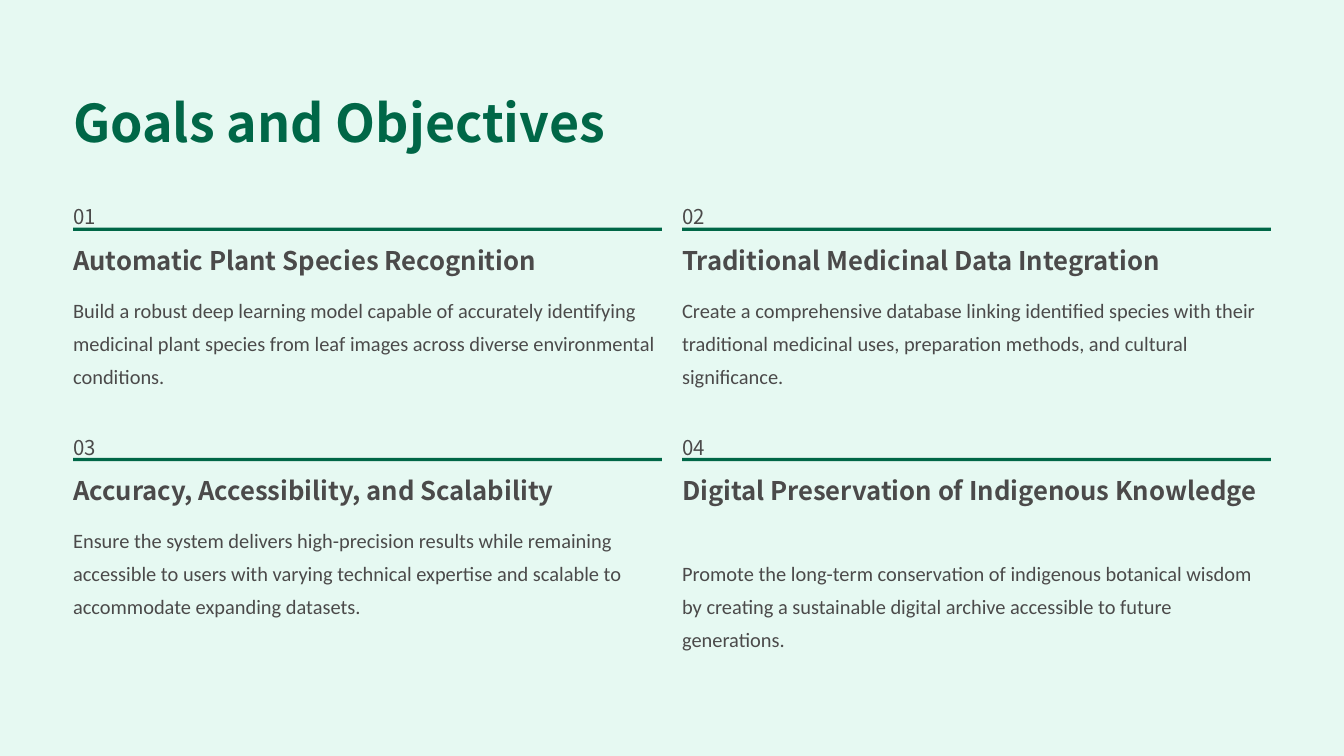
from lxml.etree import SubElement
from pptx import Presentation
from pptx.dml.color import RGBColor
from pptx.enum.shapes import MSO_SHAPE
from pptx.oxml.ns import qn
from pptx.util import Emu, Pt

PX = 9144
HEADING_FONT = "Noto Sans CJK SC"
BODY_FONT = "Calibri"
GREEN = "006747"
GRAY = "4B4A4A"
MINT = "E5F9F2"

SLIDE_WIDTH = 1600
SLIDE_HEIGHT = 900
COLUMN_WIDTH = 701
COLUMN_STEP = 725
ROW_STEP = 274
HEADING_LINE = 39

GOALS = [
    ("Automatic Plant Species Recognition", 580, 1,
     "Build a robust deep learning model capable of accurately identifying medicinal "
     "plant species from leaf images across diverse environmental conditions."),
    ("Traditional Medicinal Data Integration", 609, 1,
     "Create a comprehensive database linking identified species with their traditional "
     "medicinal uses, preparation methods, and cultural significance."),
    ("Accuracy, Accessibility, and Scalability", 610, 1,
     "Ensure the system delivers high-precision results while remaining accessible to users "
     "with varying technical expertise and scalable to accommodate expanding datasets."),
    ("Digital Preservation of Indigenous Knowledge", COLUMN_WIDTH, 2,
     "Promote the long-term conservation of indigenous botanical wisdom by creating a "
     "sustainable digital archive accessible to future generations."),
]


def color(value):
    return RGBColor.from_string(value)


def px(*lengths):
    return [Emu(length * PX) for length in lengths]


def add_text(slide, box, text, size, line, font=HEADING_FONT, ink=GRAY, bold=False, wrap=False):
    frame = slide.shapes.add_textbox(*px(*box)).text_frame
    frame.margin_left = frame.margin_top = frame.margin_right = frame.margin_bottom = 0
    frame.word_wrap = wrap
    frame.text = text
    paragraph = frame.paragraphs[0]
    paragraph.line_spacing = Pt(line)
    paragraph.font.name = font
    paragraph.font.size = Pt(size)
    paragraph.font.bold = bold
    paragraph.font.color.rgb = color(ink)


def add_rectangle(slide, box, fill):
    shape = slide.shapes.add_shape(MSO_SHAPE.RECTANGLE, *px(*box))
    shape.shadow.inherit = False
    shape.fill.solid()
    shape.fill.fore_color.rgb = color(fill)
    shape.line.fill.background()
    return shape


def add_backdrop(slide):
    backdrop = add_rectangle(slide, (0, 0, SLIDE_WIDTH, SLIDE_HEIGHT), MINT)
    fill_color = backdrop.element.spPr.find(qn("a:solidFill")).find(qn("a:srgbClr"))
    SubElement(fill_color, qn("a:alpha"), val="95000")


def add_goal(slide, left, top, width, number, goal):
    heading, heading_width, heading_lines, body = goal
    heading_height = HEADING_LINE * heading_lines
    add_text(slide, (left, top, 28, 31), f"{number:02d}", 17.5, 28.5)
    add_rectangle(slide, (left, top + 38, width, 4), GREEN)
    add_text(slide, (left, top + 57, heading_width, heading_height), heading, 22, 27.5,
             bold=True, wrap=heading_lines > 1)
    add_text(slide, (left, top + 72 + heading_height, width, 119), body, 17.5, 28.5,
             font=BODY_FONT, wrap=True)


def add_goals_grid(slide, left, top):
    for index, goal in enumerate(GOALS):
        row, column = divmod(index, 2)
        add_goal(slide, left + column * COLUMN_STEP, top + row * ROW_STEP,
                 COLUMN_WIDTH, index + 1, goal)


def main():
    presentation = Presentation()
    presentation.slide_width, presentation.slide_height = px(SLIDE_WIDTH, SLIDE_HEIGHT)
    slide = presentation.slides.add_slide(presentation.slide_layouts[6])
    add_backdrop(slide)
    add_text(slide, (87, 105, 652, 78), "Goals and Objectives", 44.5, 55.5,
             ink=GREEN, bold=True)
    add_goals_grid(slide, 87, 233)
    presentation.save("out.pptx")


if __name__ == "__main__":
    main()
